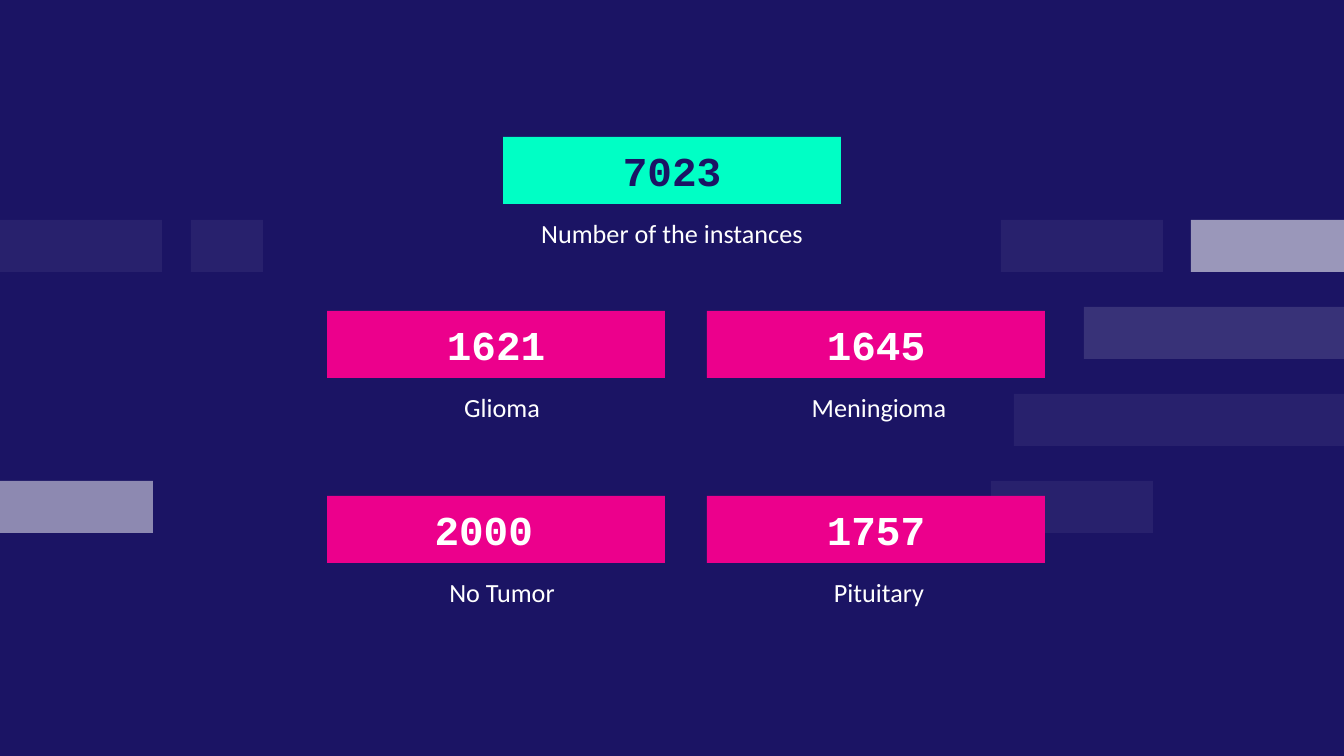
from dataclasses import dataclass

from lxml import etree
from pptx import Presentation
from pptx.dml.color import RGBColor
from pptx.enum.shapes import MSO_SHAPE
from pptx.enum.text import MSO_ANCHOR, PP_ALIGN
from pptx.oxml.ns import qn
from pptx.util import Pt

RECT = MSO_SHAPE.RECTANGLE
CENTER = PP_ALIGN.CENTER
TOP, MIDDLE = MSO_ANCHOR.TOP, MSO_ANCHOR.MIDDLE

SLIDE_W, SLIDE_H = 1344, 756
CARD_W, CARD_H, LABEL_DROP = 338, 67, 80
BLOCK_TOP, BLOCK_STEP, BLOCK_H = 220, 87, 52


@dataclass(frozen=True)
class Theme:
    navy: RGBColor = RGBColor(0x1B, 0x14, 0x64)
    mint: RGBColor = RGBColor(0x00, 0xFF, 0xC5)
    pink: RGBColor = RGBColor(0xEC, 0x00, 0x8C)
    white: RGBColor = RGBColor(0xFF, 0xFF, 0xFF)
    value_font: str = "Courier New"
    value_size: float = 29.3
    label_font: str = "Calibri"
    label_size: float = 18.7


THEME = Theme()

# row, left, width, opacity in percent
BLOCKS = [
    (1, 1084, 260, 13),
    (0, 1001, 162, 6),
    (2, 1014, 330, 6),
    (0, 1191, 153, 56),
    (3, 991, 162, 6),
    (3, 0, 153, 50),
    (0, 0, 162, 6),
    (0, 191, 72, 6),
]

CLASS_COLUMNS = (327, 707)
CLASS_ROWS = (311, 496)
CLASSES = [
    [("1621", "Glioma"), ("1645", "Meningioma ")],
    [("2000 ", "No Tumor"), ("1757", "Pituitary ")],
]


def px(n):
    return round(n * 914400 / 100.8)


def add_rect(slide, x, y, w, h, color, opacity=100):
    sp = slide.shapes.add_shape(RECT, px(x), px(y), px(w), px(h))
    sp.shadow.inherit = False
    sp.line.fill.background()
    sp.fill.solid()
    sp.fill.fore_color.rgb = color
    if opacity < 100:
        clr = sp.fill._xPr.find(qn("a:solidFill"))[0]
        etree.SubElement(clr, qn("a:alpha"), val=str(opacity * 1000))
    return sp


def set_text(sp, text, anchor, inset, inset_top, font):
    """Write one centred paragraph and return it."""
    tf = sp.text_frame
    frame = dict(word_wrap=True, vertical_anchor=anchor,
                 margin_left=px(inset), margin_right=px(inset),
                 margin_top=px(inset_top), margin_bottom=px(inset))
    for name, value in frame.items():
        setattr(tf, name, value)
    p = tf.paragraphs[0]
    p.alignment = CENTER
    r = p.add_run()
    r.text = text
    color = font.pop("color")
    for name, value in font.items():
        setattr(r.font, name, value)
    r.font.color.rgb = color
    return p


def add_card(slide, x, y, value, label, fill, value_color, inset=10, hanging=True):
    """Add a filled value box with its label below."""
    sp = add_rect(slide, x, y, CARD_W, CARD_H, fill)
    set_text(sp, value, MIDDLE, inset, inset,
             dict(name=THEME.value_font, size=Pt(THEME.value_size),
                  bold=True, color=value_color))
    box = slide.shapes.add_textbox(px(x), px(y + LABEL_DROP), px(CARD_W), px(CARD_H))
    p = set_text(box, label, TOP, inset, 0,
                 dict(name=THEME.label_font, size=Pt(THEME.label_size),
                      color=THEME.white))
    if hanging:
        pPr = p._p.get_or_add_pPr()
        pPr.set("marL", str(px(50)))
        pPr.set("indent", str(px(-38)))


def main():
    prs = Presentation()
    prs.slide_width, prs.slide_height = px(SLIDE_W), px(SLIDE_H)
    slide = prs.slides.add_slide(prs.slide_layouts[6])
    slide.background.fill.solid()
    slide.background.fill.fore_color.rgb = THEME.navy

    for row, x, w, opacity in BLOCKS:
        add_rect(slide, x, BLOCK_TOP + row * BLOCK_STEP, w, BLOCK_H,
                 THEME.white, opacity)

    add_card(slide, 503, 137, "7023", "Number of the instances",
             THEME.mint, THEME.navy, inset=13, hanging=False)
    for y, row in zip(CLASS_ROWS, CLASSES):
        for x, (count, name) in zip(CLASS_COLUMNS, row):
            add_card(slide, x, y, count, name, THEME.pink, THEME.white)

    prs.save("out.pptx")


if __name__ == "__main__":
    main()
